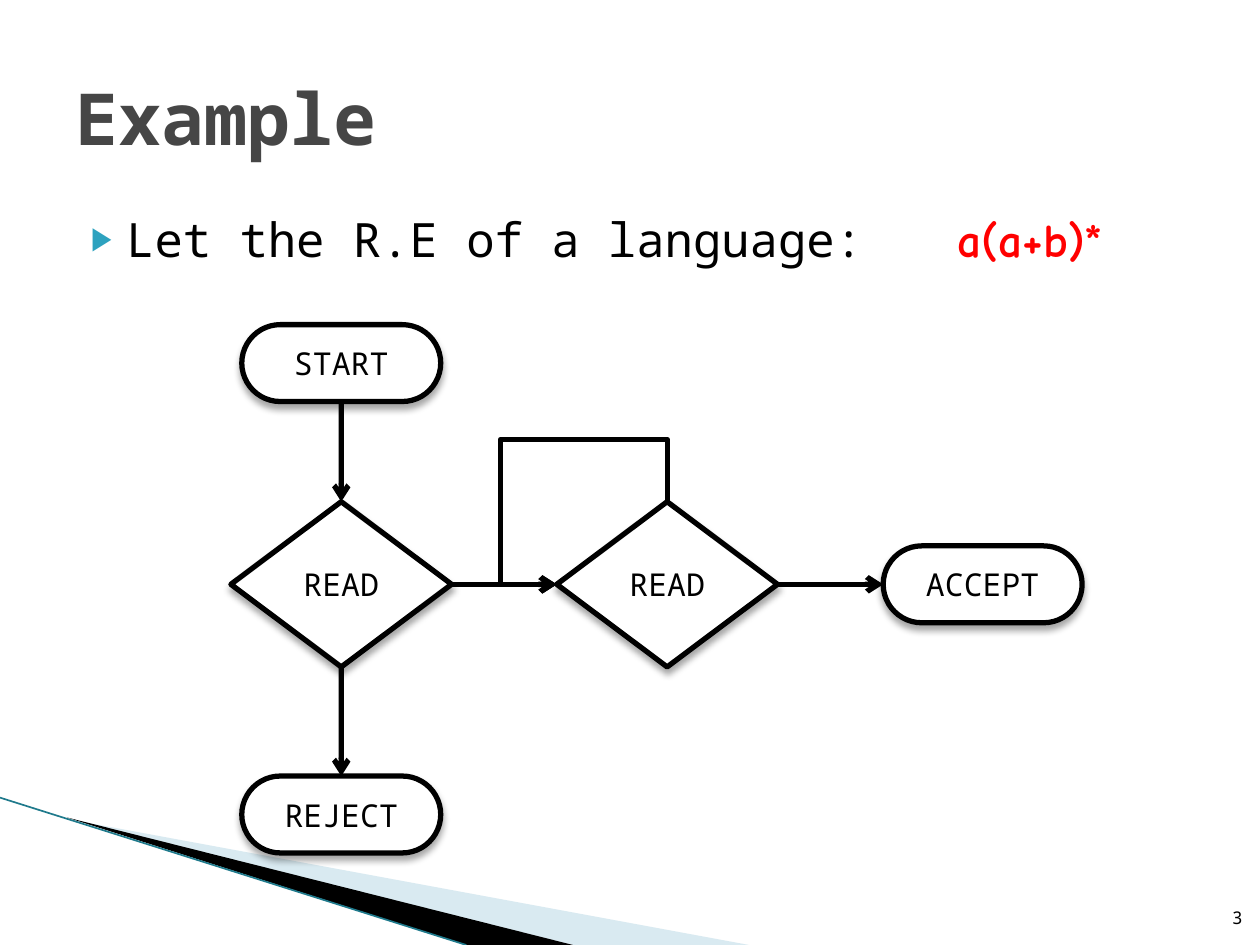
from lxml.etree import SubElement
from pptx import Presentation
from pptx.dml.color import RGBColor
from pptx.enum.shapes import MSO_CONNECTOR, MSO_SHAPE
from pptx.enum.text import MSO_ANCHOR, MSO_AUTO_SIZE, PP_ALIGN
from pptx.oxml.ns import qn
from pptx.util import Cm, Pt

BLACK = RGBColor(0x00, 0x00, 0x00)
WHITE = RGBColor(0xFF, 0xFF, 0xFF)
RED = RGBColor(0xFF, 0x00, 0x00)
GREY = RGBColor(0x46, 0x46, 0x46)
TEAL = RGBColor(0x1F, 0x7A, 0x8C)
PALE_BLUE = RGBColor(0xA0, 0xCB, 0xDC)
MONO, COMIC = "Noto Sans Mono", "Comic Neue"

TITLE = "Example"
STATEMENT, EXPRESSION = "Let the R.E of a language: \t", "a(a+b)*"
PAGE_NUMBER = "3"

COLUMNS = (6.88, 13.45, 19.81)  # node centres, cm
ROWS = (7.32, 11.78, 16.42)
TERMINAL = (MSO_SHAPE.ROUNDED_RECTANGLE, 4.01, 1.55)
DECISION = (MSO_SHAPE.DIAMOND, 4.45, 3.33)
NODES = {  # name: (label, kind, column, row)
    "start": ("START", TERMINAL, 0, 0),
    "first read": ("READ", DECISION, 0, 1),
    "second read": ("READ", DECISION, 1, 1),
    "accept": ("ACCEPT", TERMINAL, 2, 1),
    "reject": ("REJECT", TERMINAL, 0, 2),
}
TOP, LEFT, BOTTOM, RIGHT = range(4)
ARROWS = [
    ("start", BOTTOM, "first read", TOP),
    ("first read", RIGHT, "second read", LEFT),
    ("second read", RIGHT, "accept", LEFT),
    ("first read", BOTTOM, "reject", TOP),
]
WEDGES = [  # (points in cm, colour, opacity in percent)
    ([(1.4, 16.52), (15.1, 19.05), (11.55, 19.05)], PALE_BLUE, 40),
    ([(1.35, 16.48), (11.55, 19.05), (9.4, 19.05)], BLACK, 100),
]
EDGE = ((0, 16.08), (9.4, 19.05))


def style_font(font, size, color, name=MONO, bold=False):
    font.size, font.name, font.bold = Pt(size), name, bold
    font.color.rgb = color


def place(shape, left, top, width, height):
    shape.left, shape.top, shape.width, shape.height = map(Cm, (left, top, width, height))


def add_wedge(slide, points, color, opacity):
    corners = [(Cm(x), Cm(y)) for x, y in points]
    builder = slide.shapes.build_freeform(*corners[0])
    builder.add_line_segments(corners[1:])
    wedge = builder.convert_to_shape()
    wedge.shadow.inherit = False
    wedge.fill.solid()
    wedge.fill.fore_color.rgb = color
    wedge.line.fill.background()
    if opacity < 100:
        fill_color = wedge._element.spPr.find(qn("a:solidFill"))[0]
        SubElement(fill_color, qn("a:alpha"), val=str(opacity * 1000))


def add_line(slide, kind, color, width, begin=(0, 0), end=(0, 0)):
    line = slide.shapes.add_connector(kind, *map(Cm, begin + end))
    line.line.color.rgb = color
    line.line.width = Pt(width)
    SubElement(line._element.spPr, qn("a:effectLst"))
    return line


def add_arrow(slide, nodes, source, source_side, target, target_side, kind=MSO_CONNECTOR.STRAIGHT):
    arrow = add_line(slide, kind, BLACK, 3)
    arrow.begin_connect(nodes[source], source_side)
    arrow.end_connect(nodes[target], target_side)
    SubElement(arrow.line._get_or_add_ln(), qn("a:tailEnd"), type="arrow")
    return arrow


def add_loop(slide, nodes):
    """Bend an arrow from the top of the second READ round to its left corner."""
    loop = add_arrow(slide, nodes, "second read", TOP, "second read", LEFT, MSO_CONNECTOR.ELBOW)
    center_x, center_y = loop.left + loop.width // 2, loop.top + loop.height // 2
    loop.width, loop.height = loop.height, loop.width
    loop.left, loop.top = center_x - loop.width // 2, center_y - loop.height // 2
    transform = loop._element.spPr.find(qn("a:xfrm"))
    for name, value in (("rot", "16200000"), ("flipH", "1"), ("flipV", "1")):
        transform.set(name, value)
    geometry = loop._element.spPr.find(qn("a:prstGeom"))
    geometry.set("prst", "bentConnector4")
    for name, value in (("adj1", -75500), ("adj2", 151200)):
        SubElement(geometry.find(qn("a:avLst")), qn("a:gd"), name=name, fmla=f"val {value}")


def add_node(slide, label, kind, column, row):
    preset, width, height = kind
    node = slide.shapes.add_shape(preset, 0, 0, 0, 0)
    place(node, COLUMNS[column] - width / 2, ROWS[row] - height / 2, width, height)
    if kind is TERMINAL:
        node.adjustments[0] = 0.5
    node.fill.solid()
    node.fill.fore_color.rgb = WHITE
    node.line.color.rgb = BLACK
    node.line.width = Pt(3)
    node.shadow.inherit = False
    shadow = SubElement(node._element.spPr.find(qn("a:effectLst")), qn("a:outerShdw"),
                        blurRad=str(Pt(4)), dist=str(Pt(3)), dir="5400000", rotWithShape="0")
    shadow_color = SubElement(shadow, qn("a:srgbClr"), val=str(BLACK))
    SubElement(shadow_color, qn("a:alpha"), val="35000")
    frame = node.text_frame
    frame.word_wrap = False
    frame.vertical_anchor = MSO_ANCHOR.MIDDLE
    paragraph = frame.paragraphs[0]
    paragraph.text = label
    paragraph.alignment = PP_ALIGN.CENTER
    style_font(paragraph.font, 18, BLACK)
    return node


def fill_title(title):
    place(title, 1.27, 0.76, 22.86, 3.18)
    title.text_frame.vertical_anchor = MSO_ANCHOR.MIDDLE
    paragraph = title.text_frame.paragraphs[0]
    paragraph.text = TITLE
    paragraph.alignment = PP_ALIGN.LEFT
    style_font(paragraph.font, 41, GREY, bold=True)


def fill_body(body):
    place(body, 1.27, 4.11, 23.29, 2.03)
    body.text_frame.auto_size = MSO_AUTO_SIZE.NONE
    paragraph = body.text_frame.paragraphs[0]
    paragraph.space_before = Pt(0)
    properties = paragraph._p.get_or_add_pPr()
    properties.set("marL", str(Cm(1.02)))
    properties.set("indent", str(Cm(-0.71)))
    bullet_color = SubElement(properties, qn("a:buClr"))
    SubElement(bullet_color, qn("a:srgbClr"), val="2DA2BF")
    SubElement(properties, qn("a:buSzPct"), val="68000")
    SubElement(properties, qn("a:buChar"), char="▶")
    tabs = SubElement(properties, qn("a:tabLst"))
    SubElement(tabs, qn("a:tab"), pos=str(Cm(17.78)), algn="l")
    for text, color, name, bold in ((STATEMENT, BLACK, MONO, False), (EXPRESSION, RED, COMIC, True)):
        run = paragraph.add_run()
        run.text = text
        style_font(run.font, 27, color, name, bold)


def add_page_number(slide):
    box = slide.shapes.add_textbox(Cm(24.03), Cm(17.81), Cm(1.02), Cm(1.02))
    frame = box.text_frame
    frame.word_wrap = True
    frame.vertical_anchor = MSO_ANCHOR.BOTTOM
    frame.margin_left = frame.margin_right = 0
    paragraph = frame.paragraphs[0]
    paragraph.text = PAGE_NUMBER
    paragraph.alignment = PP_ALIGN.RIGHT
    style_font(paragraph.font, 10, BLACK)


def main():
    presentation = Presentation()
    presentation.slide_width, presentation.slide_height = Cm(25.4), Cm(19.05)
    slide = presentation.slides.add_slide(presentation.slide_layouts[1])
    for wedge in WEDGES:
        add_wedge(slide, *wedge)
    add_line(slide, MSO_CONNECTOR.STRAIGHT, TEAL, 0.95, *EDGE)
    fill_title(slide.shapes.title)
    fill_body(slide.placeholders[1])
    add_page_number(slide)
    nodes = {name: add_node(slide, *node) for name, node in NODES.items()}
    for arrow in ARROWS:
        add_arrow(slide, nodes, *arrow)
    add_loop(slide, nodes)
    presentation.save("out.pptx")


if __name__ == "__main__":
    main()
